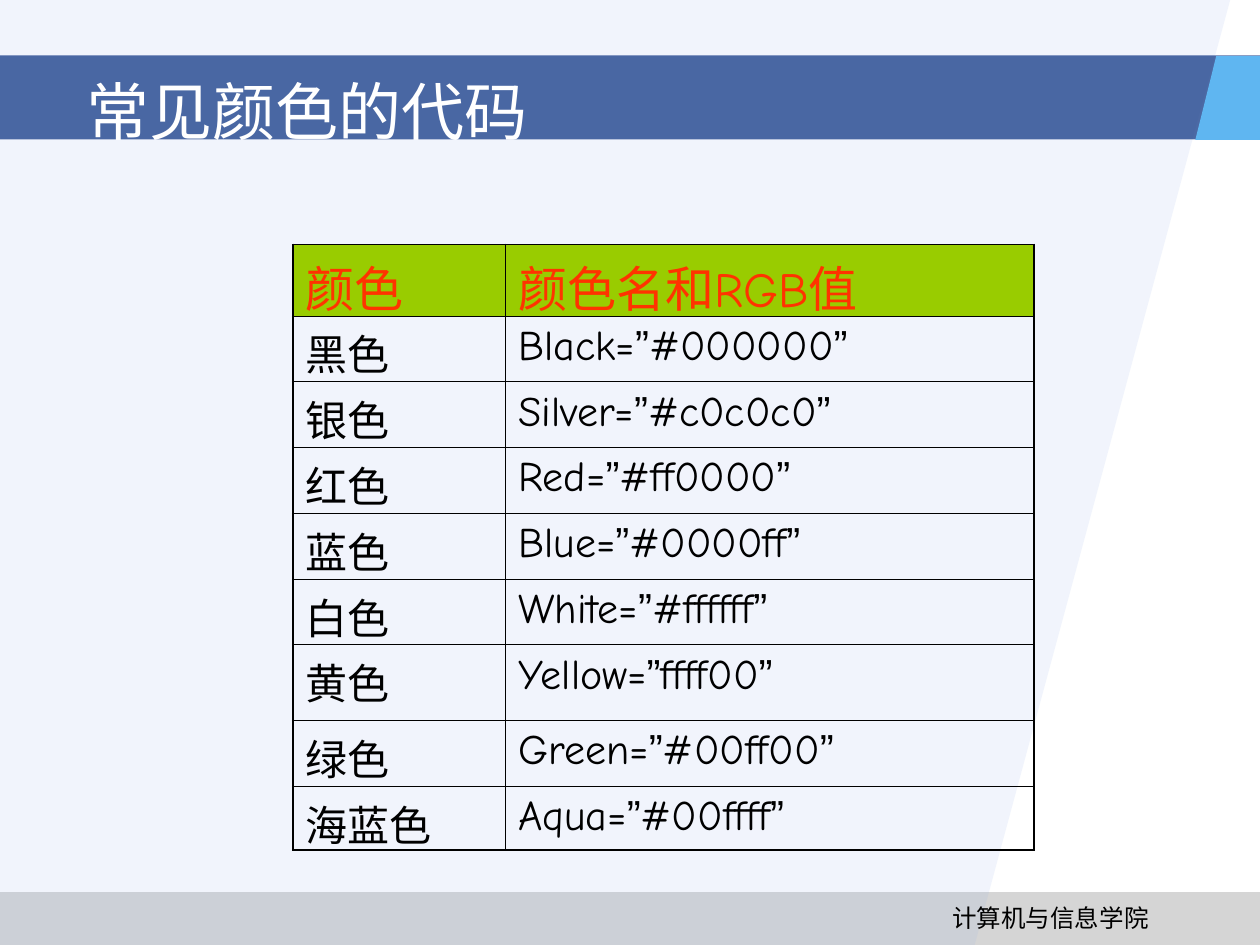
from lxml import etree
from pptx import Presentation
from pptx.dml.color import RGBColor
from pptx.enum import shapes, text
from pptx.oxml import ns
from pptx.util import Pt

TITLE = "常见颜色的代码"
FOOTER = "计算机与信息学院"
HEADER = ("颜色", "颜色名和RGB值")
COLORS = [
    ("黑色", "Black=", "#000000"),
    ("银色", "Silver=", "#c0c0c0"),
    ("红色", "Red=", "#ff0000"),
    ("蓝色", "Blue=", "#0000ff"),
    ("白色", "White=", "#ffffff"),
    ("黄色", "Yellow=", "ffff00"),
    ("绿色", "Green=", "#00ff00"),
    ("海蓝色", "Aqua=", "#00ffff"),
]
QUOTE = "”"
COL_WIDTHS = (121.7, 301.7)
ROW_HEIGHTS = [40.7] + [37.6] * 5 + [43.3, 37.6, 36.3]
THICK, THIN = 1.08, 0.45
BODY_FONT = "Comic Neue"
NO_STYLE = "{2D5ABB26-0587-4C30-8999-92F81FD0307C}"


def rgb(value):
    return RGBColor.from_string(value)


def paint(s, color, alpha=None):
    s.shadow.inherit = False
    s.line.fill.background()
    s.fill.solid()
    s.fill.fore_color.rgb = rgb(color)
    if alpha:
        clr = s._element.spPr.find(".//" + ns.qn("a:srgbClr"))
        etree.SubElement(clr, ns.qn("a:alpha"), val=str(alpha * 1000))


def add_band(slide, top, height, color, alpha):
    s = slide.shapes.add_shape(shapes.MSO_SHAPE.RECTANGLE, 0, Pt(top), Pt(720), Pt(height))
    paint(s, color, alpha)


def add_outline(slide, points, color, alpha=None):
    builder = slide.shapes.build_freeform(*points[0], scale=Pt(1))
    builder.add_line_segments(points[1:], close=True)
    paint(builder.convert_to_shape(), color, alpha)


def style(p, size, color, name=None):
    p.font.size = Pt(size)
    p.font.color.rgb = rgb(color)
    if name:
        p.font.name = name


def add_label(slide, box, label, size, color, name, wrap):
    tf = slide.shapes.add_textbox(*map(Pt, box)).text_frame
    tf.word_wrap = wrap
    tf.vertical_anchor = text.MSO_ANCHOR.MIDDLE if wrap else text.MSO_ANCHOR.TOP
    p = tf.paragraphs[0]
    p.text = label
    style(p, size, color, name)


def set_borders(cell, widths):
    tc_pr = cell._tc.get_or_add_tcPr()
    for side, width in zip("LRTB", widths):
        ln = etree.SubElement(tc_pr, ns.qn("a:ln" + side), w=str(Pt(width)))
        fill = etree.SubElement(ln, ns.qn("a:solidFill"))
        etree.SubElement(fill, ns.qn("a:srgbClr"), val="000000")


def fill_table(slide):
    n_rows, n_cols = len(ROW_HEIGHTS), len(COL_WIDTHS)
    frame = slide.shapes.add_table(n_rows, n_cols, Pt(167.3), Pt(139.7),
                                   Pt(sum(COL_WIDTHS)), Pt(sum(ROW_HEIGHTS)))
    table = frame.table
    table.first_row = table.horz_banding = False
    table._tbl.tblPr.find(ns.qn("a:tableStyleId")).text = NO_STYLE
    for column, width in zip(table.columns, COL_WIDTHS):
        column.width = Pt(width)
    for row, height in zip(table.rows, ROW_HEIGHTS):
        row.height = Pt(height)

    rows = [HEADER] + [(name, (word, QUOTE, code, QUOTE)) for name, word, code in COLORS]
    for i, row in enumerate(rows):
        for j, content in enumerate(row):
            cell = table.cell(i, j)
            edges = (j == 0, j == n_cols - 1, i == 0, i == n_rows - 1)
            set_borders(cell, [THICK if edge else THIN for edge in edges])
            p = cell.text_frame.paragraphs[0]
            if i == 0:
                cell.fill.solid()
                cell.fill.fore_color.rgb = rgb("99CC00")
            else:
                cell.fill.background()
            size, color = (28, "FF3300") if i == 0 else (24, "000000")
            if isinstance(content, str):
                p.text = content
                style(p, size, color, BODY_FONT)
            else:
                style(p, size, color)
                for part in content:
                    r = p.add_run()
                    r.text = part
                    r.font.name = "Arial" if part == QUOTE else BODY_FONT


def main():
    prs = Presentation()
    prs.slide_width, prs.slide_height = Pt(720), Pt(540)
    slide = prs.slides.add_slide(prs.slide_layouts[6])
    add_band(slide, 509.8, 30.2, "969696", 40)
    add_outline(slide, [(0, 0), (702.7, 0), (557.3, 539.5), (0, 540)], "94B1EC", 13)
    add_band(slide, 31.7, 48, "173D89", 77)
    add_outline(slide, [(694.8, 31.7), (682.6, 79.7), (720, 79.7), (720, 31.7)], "5FB6F1")
    add_label(slide, (537.1, 512.6, 126.7, 24.5), FOOTER, 14, "000000", "Arial", False)
    fill_table(slide)
    add_label(slide, (42.5, 0, 540.7, 126), TITLE, 36, "FFFFFF", "Times New Roman", True)
    prs.save("out.pptx")


if __name__ == "__main__":
    main()
